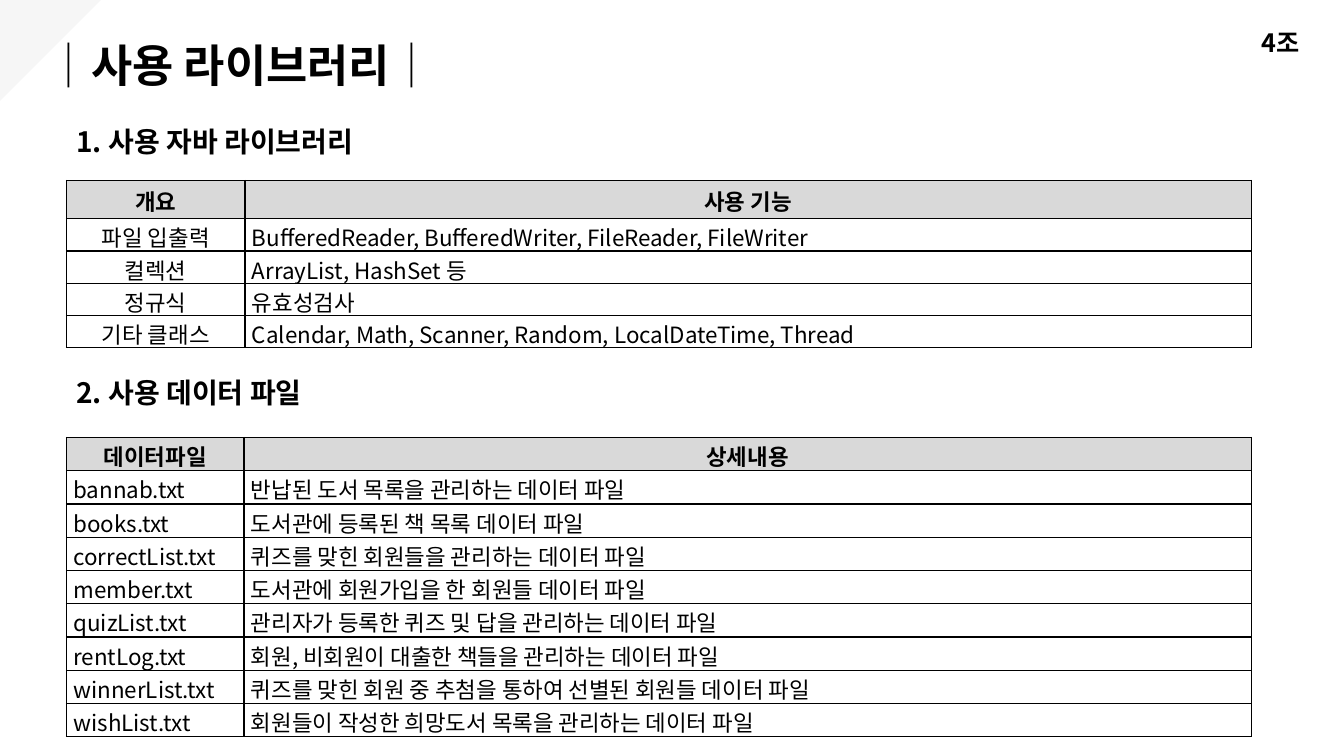
from lxml.etree import SubElement
from pptx import Presentation
from pptx.dml.color import RGBColor
from pptx.enum.shapes import MSO_SHAPE as Shape
from pptx.enum.text import MSO_ANCHOR as Anchor, PP_ALIGN as Align
from pptx.oxml.ns import qn
from pptx.util import Inches, Pt

FONT = "Noto Sans CJK KR"
BLACK, WHITE, GREY, PALE = "000000", "FFFFFF", "D9D9D9", "F6F6F6"

TITLE = "│사용 라이브러리│"
TEAM = "4조"
HEADS = [
    ("1. 사용 자바 라이브러리", 0.97),
    ("2. 사용 데이터 파일", 3.46),
]
LIBS = [
    ("개요", "사용 기능"),
    ("파일 입출력", "BufferedReader, BufferedWriter, FileReader, FileWriter"),
    ("컬렉션", "ArrayList, HashSet 등"),
    ("정규식", "유효성검사"),
    ("기타 클래스", "Calendar, Math, Scanner, Random, LocalDateTime, Thread"),
]
FILES = [
    ("데이터파일", "상세내용"),
    ("bannab.txt", "반납된 도서 목록을 관리하는 데이터 파일"),
    ("books.txt", "도서관에 등록된 책 목록 데이터 파일"),
    ("correctList.txt", "퀴즈를 맞힌 회원들을 관리하는 데이터 파일"),
    ("member.txt", "도서관에 회원가입을 한 회원들 데이터 파일"),
    ("quizList.txt", "관리자가 등록한 퀴즈 및 답을 관리하는 데이터 파일"),
    ("rentLog.txt", "회원, 비회원이 대출한 책들을 관리하는 데이터 파일"),
    ("winnerList.txt", "퀴즈를 맞힌 회원 중 추첨을 통하여 선별된 회원들 데이터 파일"),
    ("wishList.txt", "회원들이 작성한 희망도서 목록을 관리하는 데이터 파일"),
]
# rows, top, column widths, header height, row height, first column alignment
TABLES = [
    (LIBS, 1.79, (1.77, 9.98), 0.38, 0.32, Align.CENTER),
    (FILES, 4.34, (1.76, 9.99), 0.33, 0.33, Align.LEFT),
]
LEFT = 0.66


def color(code):
    return RGBColor.from_string(code)


def write(frame, text, size, bold=True, align=Align.LEFT, gap=0.9):
    frame.text = text
    frame.vertical_anchor = Anchor.MIDDLE
    para = frame.paragraphs[0]
    para.alignment, para.line_spacing = align, gap
    font = para.font
    font.name, font.size, font.bold = FONT, Pt(size), bold
    font.color.rgb = color(BLACK)
    props = para._p.pPr.find(qn("a:defRPr"))
    SubElement(props, qn("a:ea")).set("typeface", FONT)


def add_text(slide, text, box, size, wrap=True, gap=0.9):
    frame = slide.shapes.add_textbox(*map(Inches, box)).text_frame
    frame.word_wrap = wrap
    write(frame, text, size, gap=gap)


def frame_cell(cell):
    """Draw a thin black border on all four sides."""
    props = cell._tc.get_or_add_tcPr()
    for side in "LRTB":
        line = SubElement(props, qn(f"a:ln{side}"), w=str(Pt(1)))
        fill = SubElement(line, qn("a:solidFill"))
        SubElement(fill, qn("a:srgbClr"), val=BLACK)


def add_grid(slide, rows, top, widths, head, step, first):
    high = head + step * (len(rows) - 1)
    box = map(Inches, (LEFT, top, sum(widths), high))
    table = slide.shapes.add_table(len(rows), len(widths), *box).table
    table.first_row = table.horz_banding = False
    for col, width in zip(table.columns, widths):
        col.width = Inches(width)
    for r, row in enumerate(rows):
        table.rows[r].height = Inches(step if r else head)
        for c, text in enumerate(row):
            cell = table.cell(r, c)
            cell.margin_left = cell.margin_right = Inches(0.07)
            cell.margin_top = cell.margin_bottom = 0
            cell.vertical_anchor = Anchor.MIDDLE
            frame_cell(cell)
            cell.fill.solid()
            cell.fill.fore_color.rgb = color(WHITE if r else GREY)
            align = Align.CENTER if r == 0 else (first, Align.LEFT)[c]
            write(cell.text_frame, text, 16, r == 0, align, 1.07)


def main():
    deck = Presentation()
    deck.slide_width, deck.slide_height = Inches(13.33), Inches(7.5)
    slide = deck.slides.add_slide(deck.slide_layouts[5])

    title = slide.shapes.title
    title.left, title.top = Inches(0.36), Inches(0.22)
    title.width, title.height = Inches(8.43), Inches(0.91)
    write(title.text_frame, TITLE, 32)

    corner = slide.shapes.add_shape(
        Shape.RIGHT_TRIANGLE, 0, 0, Inches(1), Inches(1))
    corner.rotation = 90
    corner.shadow.inherit = False
    corner.fill.solid()
    corner.fill.fore_color.rgb = color(PALE)
    corner.line.fill.background()

    add_text(slide, TEAM, (12.41, 0.22, 0.72, 0.4), 18, False, 1.0)
    for text, top in HEADS:
        add_text(slide, text, (LEFT, top, 10.76, 0.91), 20)
    for spec in TABLES:
        add_grid(slide, *spec)
    deck.save("out.pptx")


if __name__ == "__main__":
    main()
